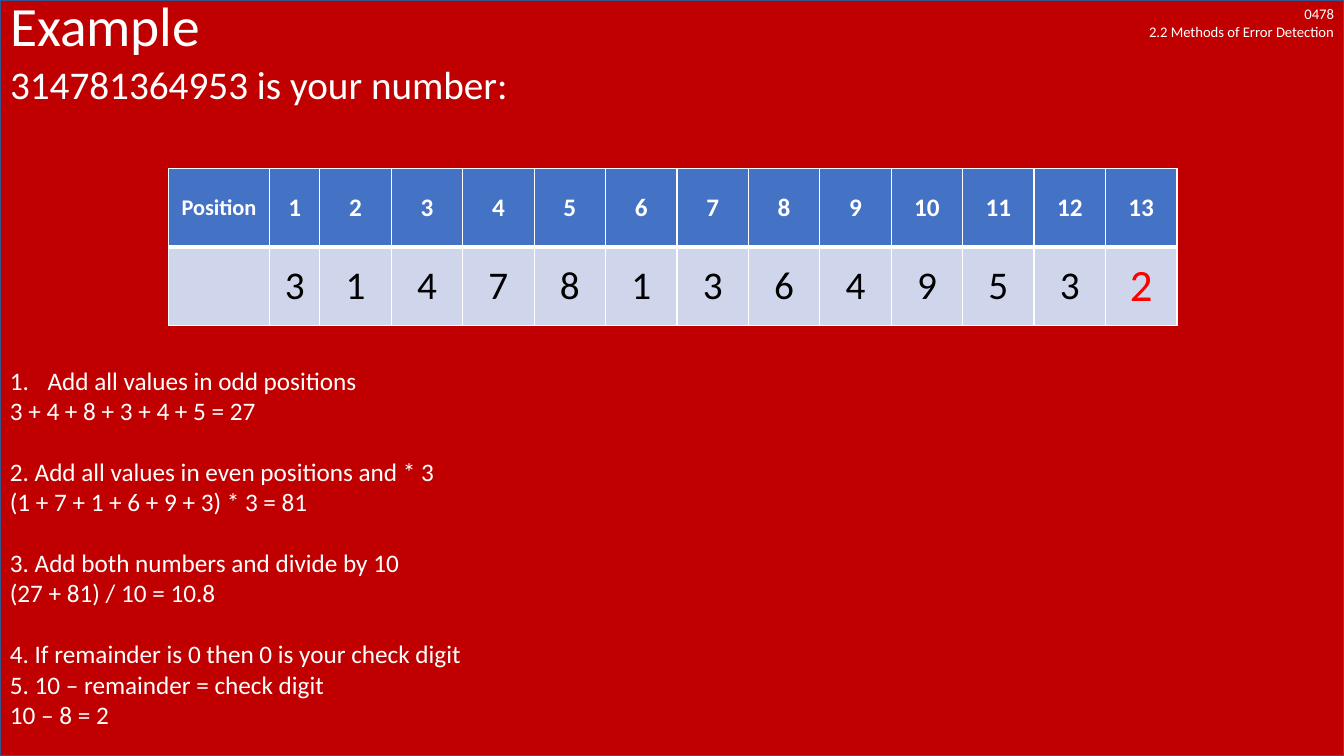
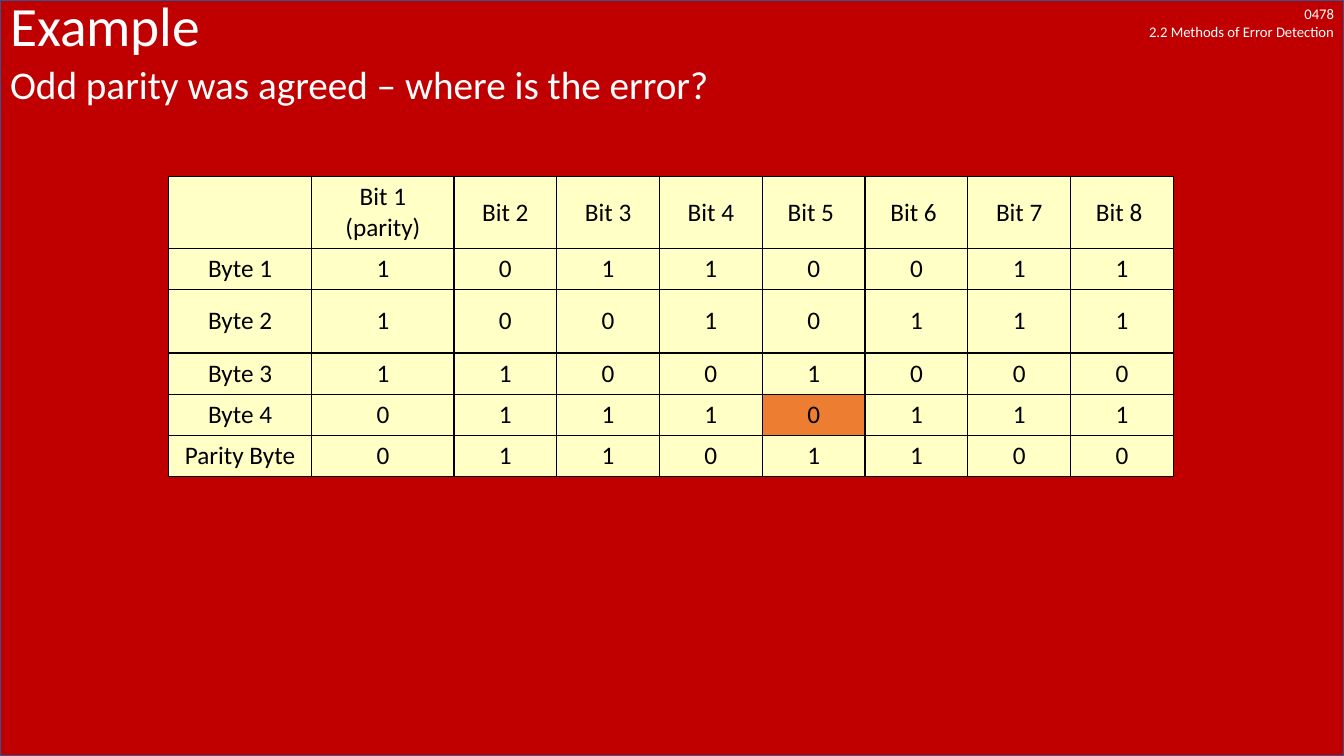
from lxml import etree
from pptx import Presentation
from pptx.dml.color import RGBColor
from pptx.enum.shapes import MSO_SHAPE
from pptx.enum.text import MSO_ANCHOR, MSO_AUTO_SIZE, PP_ALIGN
from pptx.oxml.ns import qn
from pptx.util import Cm, Pt

LEFT, CENTER, RIGHT = PP_ALIGN.LEFT, PP_ALIGN.CENTER, PP_ALIGN.RIGHT
MIDDLE = MSO_ANCHOR.MIDDLE
NO_FIT = MSO_AUTO_SIZE.NONE
RECTANGLE = MSO_SHAPE.RECTANGLE

# Shared look
FONT = "Calibri"
WHITE = RGBColor(0xFF, 0xFF, 0xFF)
BLACK = RGBColor(0x00, 0x00, 0x00)
DARK_RED = RGBColor(0xC0, 0x00, 0x00)
BRIGHT_RED = RGBColor(0xFF, 0x00, 0x00)
NAVY = RGBColor(0x32, 0x54, 0x91)
BLUE = RGBColor(0x44, 0x72, 0xC4)
PALE_BLUE = RGBColor(0xCF, 0xD5, 0xEA)
CREAM = RGBColor(0xFF, 0xFF, 0xC6)
ORANGE = RGBColor(0xED, 0x7D, 0x31)
SLIDE_WIDTH, SLIDE_HEIGHT = Cm(33.87), Cm(19.05)
TABLE_LEFT = Cm(4.24)

# Content
COURSE_LABEL = "0478\v2.2 Methods of Error Detection"
TITLE = "Example"

NUMBER_PROMPT = "314781364953 is your number:"
DIGITS = "3147813649532"
POSITION_ROWS = [
    ["Position"] + [str(place) for place in range(1, len(DIGITS) + 1)],
    [""] + list(DIGITS),
]
STEPS = [
    ["Add all values in odd positions", "3 + 4 + 8 + 3 + 4 + 5 = 27"],
    ["2. Add all values in even positions and * 3",
     "(1 + 7 + 1 + 6 + 9 + 3) * 3 = 81"],
    ["3. Add both numbers and divide by 10", "(27 + 81) / 10 = 10.8"],
    ["4. If remainder is 0 then 0 is your check digit",
     "5. 10 – remainder = check digit", "10 – 8 = 2"],
]

PARITY_PROMPT = "Odd parity was agreed – where is the error?"
PARITY_HEADINGS = ["", "Bit 1 (parity)", "Bit 2", "Bit 3", "Bit 4",
                   "Bit 5 ", "Bit 6 ", "Bit 7", "Bit 8 "]
PARITY_BYTES = [
    ("Byte 1", "10110011"),
    ("Byte 2", "10010111"),
    ("Byte 3", "11001000"),
    ("Byte 4", "01110111"),
    ("Parity Byte", "01101100"),
]
ERROR_CELL = (4, 5)


def style(para, size, color=WHITE, align=LEFT, bold=False):
    para.alignment = align
    para.font.name = FONT
    para.font.size = Pt(size)
    para.font.color.rgb = color
    para.font.bold = bold


def set_bullet(para, tag, indent=0, **attributes):
    properties = para._p.get_or_add_pPr()
    properties.set("marL", str(indent))
    properties.set("indent", str(-indent))
    etree.SubElement(properties, qn(tag), **attributes)


def set_borders(cell, color, **widths):
    properties = cell._tc.get_or_add_tcPr()
    for position, side in enumerate(("L", "R", "T", "B")):
        line = etree.Element(qn(f"a:ln{side}"), w=str(Pt(widths.get(side, 1))))
        fill = etree.SubElement(line, qn("a:solidFill"))
        etree.SubElement(fill, qn("a:srgbClr"), val=str(color))
        properties.insert(position, line)


def add_grid(slide, top, rows, widths, heights):
    """Add an unstyled table and return its cells as a list of rows."""
    table = slide.shapes.add_table(len(rows), len(widths), TABLE_LEFT, Cm(top),
                                   Cm(sum(widths)), Cm(sum(heights))).table
    table.first_row = table.horz_banding = False
    for column, width in zip(table.columns, widths):
        column.width = Cm(width)
    for row, height in zip(table.rows, heights):
        row.height = Cm(height)
    grid = [list(row.cells) for row in table.rows]
    for cells, values in zip(grid, rows):
        for cell, value in zip(cells, values):
            cell.text = value
            cell.vertical_anchor = MIDDLE
    return grid


def fill_cell(cell, fill, size, color, bold=False):
    cell.fill.solid()
    cell.fill.fore_color.rgb = fill
    style(cell.text_frame.paragraphs[0], size, color, CENTER, bold)


def prepare_layout(deck, layout, slide):
    """Place the placeholders, backdrop and course label on the layout."""
    title, body = layout.placeholders[0], layout.placeholders[1]
    for holder, top, height in ((title, 0, 1.45), (body, 1.52, 17.53)):
        holder.left, holder.top = 0, Cm(top)
        holder.width, holder.height = deck.slide_width, Cm(height)
        holder.text_frame.auto_size = NO_FIT

    backdrop = slide.shapes.add_shape(RECTANGLE, 0, 0, SLIDE_WIDTH, SLIDE_HEIGHT)
    backdrop.shadow.inherit = False
    backdrop.fill.solid()
    backdrop.fill.fore_color.rgb = DARK_RED
    backdrop.line.color.rgb = NAVY
    backdrop.line.width = Pt(1)

    label_width = Cm(5.33)
    label = slide.shapes.add_textbox(SLIDE_WIDTH - label_width, 0, label_width, Cm(1.14))
    label.text_frame.word_wrap = True
    para = label.text_frame.paragraphs[0]
    para.text = COURSE_LABEL
    style(para, 10.5, align=RIGHT)

    # Shapes can only be added to slides, so move them to the layout
    for number, shape in enumerate((backdrop, label), start=101):
        shape.element.nvSpPr.cNvPr.set("id", str(number))
        title.element.addprevious(shape.element)


def fill_placeholders(slide, prompt):
    title = slide.shapes.title.text_frame
    title.text = TITLE
    title.vertical_anchor = MIDDLE
    body = slide.placeholders[1].text_frame
    body.text = prompt
    set_bullet(body.paragraphs[0], "a:buNone")
    for frame, size in ((title, 39.6), (body, 28)):
        para = frame.paragraphs[0]
        para.line_spacing = 0.9
        para.space_before = Pt(0)
        style(para, size)


def build_check_digit(slide):
    fill_placeholders(slide, NUMBER_PROMPT)

    # Positions and digits
    widths = [2.56, 1.26] + [1.8] * (len(DIGITS) - 1)
    header, digits = add_grid(slide, 4.24, POSITION_ROWS, widths, [1.98] * 2)
    for column, cell in enumerate(header):
        fill_cell(cell, BLUE, 18 if column else 16, WHITE, bold=True)
        set_borders(cell, WHITE, B=3)
    for cell in digits:
        fill_cell(cell, PALE_BLUE, 28, BLACK)
        set_borders(cell, WHITE, T=3)
    style(digits[-1].text_frame.paragraphs[0], 32, BRIGHT_RED, CENTER)

    # Worked steps
    frame = slide.shapes.add_textbox(0, Cm(9.07), Cm(29.18), Cm(9.98)).text_frame
    frame.word_wrap = True
    for step_index, step in enumerate(STEPS):
        for line_index, line in enumerate(step):
            first = step_index == line_index == 0
            para = frame.paragraphs[0] if first else frame.add_paragraph()
            para.text = line
            if first:
                set_bullet(para, "a:buAutoNum", Cm(0.95), type="arabicPeriod")
            elif line_index == 0:
                para.space_before = Pt(22)
            style(para, 18)


def build_parity(slide):
    fill_placeholders(slide, PARITY_PROMPT)
    rows = [PARITY_HEADINGS] + [[name, *bits] for name, bits in PARITY_BYTES]
    widths = [3.62, 3.58] + [2.59] * 7
    heights = [1.78, 1.04, 1.6] + [1.04] * 3
    for row, cells in enumerate(add_grid(slide, 4.45, rows, widths, heights)):
        for column, cell in enumerate(cells):
            fill = ORANGE if (row, column) == ERROR_CELL else CREAM
            fill_cell(cell, fill, 18, BLACK)
            set_borders(cell, BLACK)


def main():
    deck = Presentation()
    deck.slide_width, deck.slide_height = SLIDE_WIDTH, SLIDE_HEIGHT
    layout = deck.slide_layouts[1]
    slides = [deck.slides.add_slide(layout) for _ in range(2)]
    prepare_layout(deck, layout, slides[0])
    build_check_digit(slides[0])
    build_parity(slides[1])
    deck.save("out.pptx")


if __name__ == "__main__":
    main()
